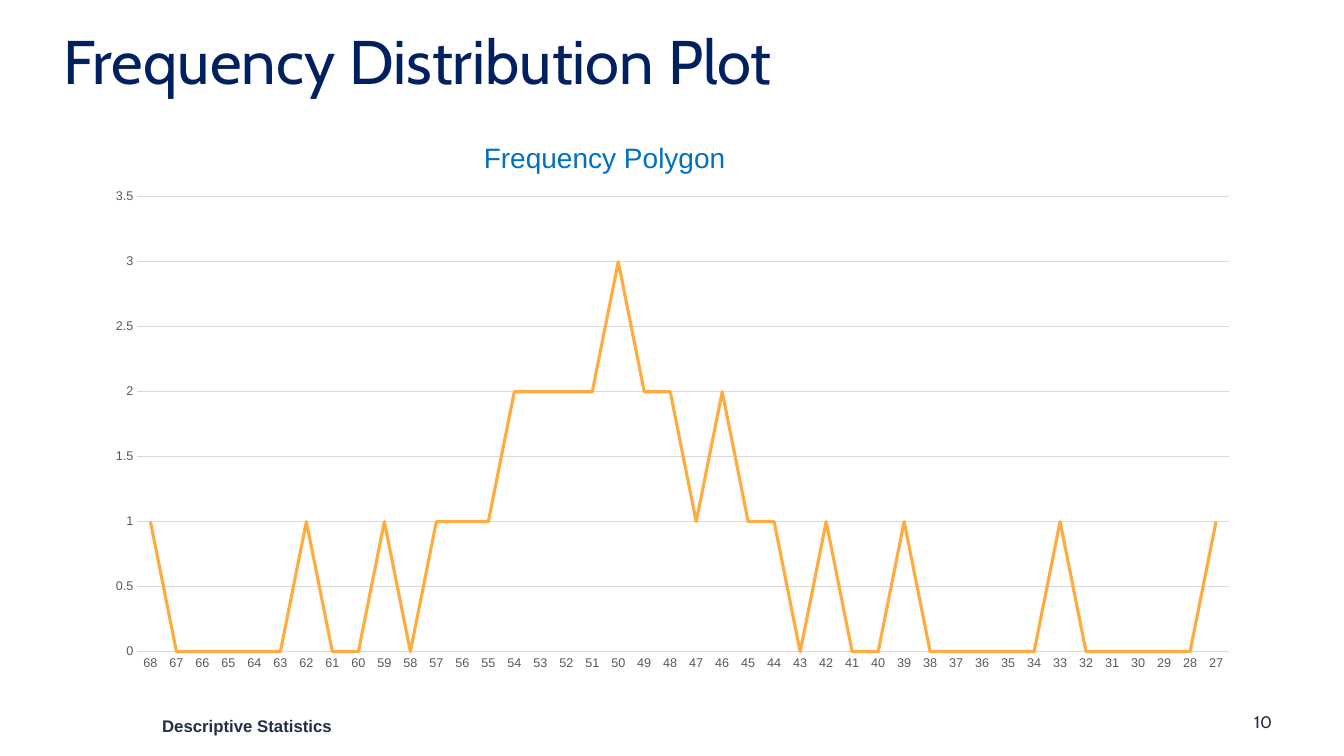
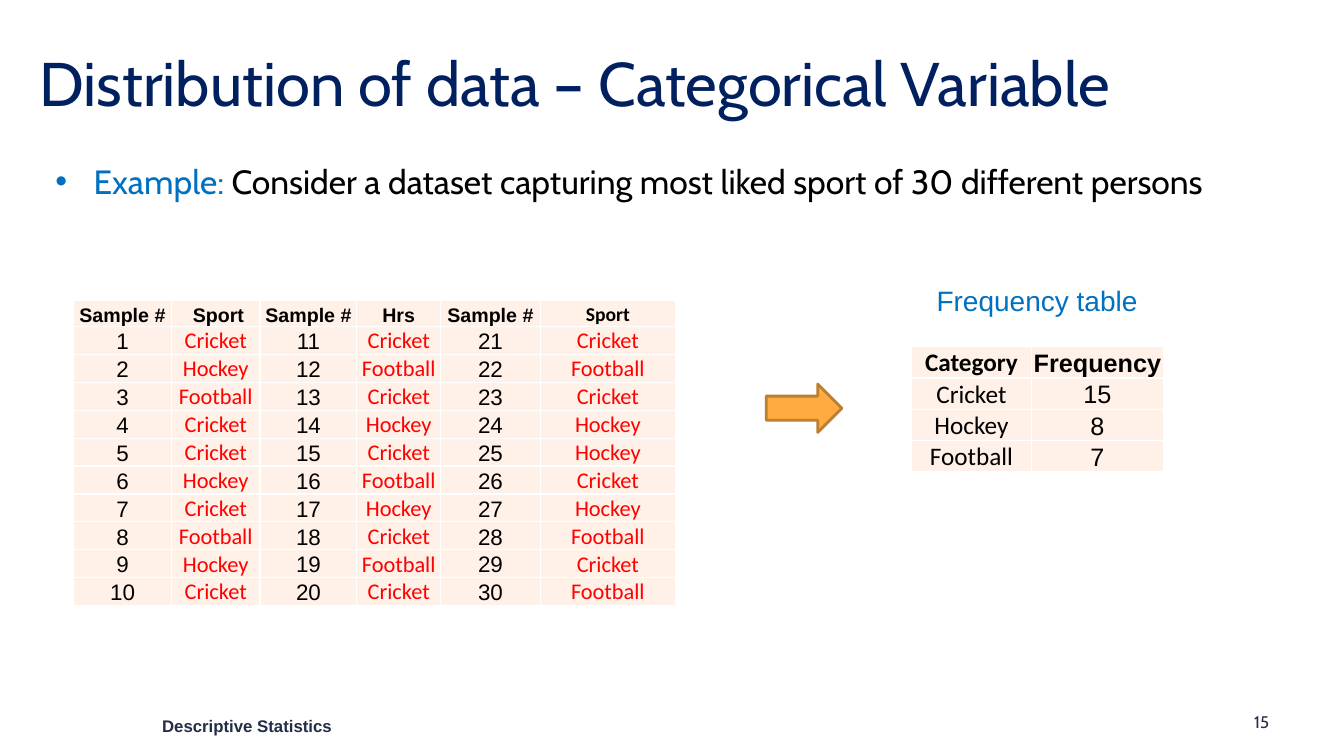
from dataclasses import dataclass

from lxml import etree
from pptx import Presentation
from pptx import util as u
from pptx.chart.data import CategoryChartData
from pptx.dml.color import RGBColor
from pptx.enum import chart as charts, shapes, text
from pptx.oxml import ns

SCORES = range(68, 26, -1)
FREQUENCIES = [1, 0, 0, 0, 0, 0, 1, 0, 0, 1, 0, 1, 1, 1, 2, 2, 2, 2, 3, 2, 2,
               1, 2, 1, 1, 0, 1, 0, 0, 1, 0, 0, 0, 0, 0, 1, 0, 0, 0, 0, 0, 1]

SAMPLE_HEADERS = ["Sample #", " Sport", "Sample #", "Hrs", "Sample #", "Sport"]
SPORTS = [
    ["Cricket", "Hockey", "Football", "Cricket", "Cricket",
     "Hockey", "Cricket", "Football", "Hockey", "Cricket"],
    ["Cricket", "Football", "Cricket", "Hockey", "Cricket",
     "Football", "Hockey", "Cricket", "Football", "Cricket"],
    ["Cricket", "Football", "Cricket", "Hockey", "Hockey",
     "Cricket", "Hockey", "Football", "Cricket", "Football"],
]
FREQUENCY_ROWS = [("Category", "Frequency"), ("Cricket", "15"),
                  ("Hockey", "8"), ("Football", "7")]


@dataclass(frozen=True)
class Theme:
    navy: str = "002060"
    footer: str = "232D47"
    blue: str = "0070C0"
    black: str = "000000"
    red: str = "FF0000"
    white: str = "FFFFFF"
    orange: str = "FFAB40"
    brown: str = "BD7F2F"
    cream: str = "FFF1E8"
    grid: str = "D9D9D9"
    axis: str = "595959"
    heading: str = "Cabin"
    sans: str = "Arial"
    label: str = "Calibri"
    title_size: int = 44
    body_size: int = 24
    caption_size: int = 20
    category_size: int = 18
    cell_size: int = 16
    header_size: int = 14
    footer_size: int = 12
    axis_size: int = 9


THEME = Theme()


def rgb(value):
    return RGBColor.from_string(value)


def style_font(font, face, size, color, bold=False):
    font.name, font.size, font.bold = face, u.Pt(size), bold
    font.color.rgb = rgb(color)


def write(para, content, face=THEME.sans, size=THEME.footer_size,
          color=THEME.black, bold=False, align=text.PP_ALIGN.LEFT):
    para.alignment = align
    span = para.add_run()
    span.text = content
    style_font(span.font, face, size, color, bold)


def add_box(page, left, top, width, height, wrap=True):
    """Add an empty text box and return its first paragraph."""
    box = page.shapes.add_textbox(*map(u.Inches, (left, top, width, height)))
    box.text_frame.word_wrap = wrap
    return box.text_frame.paragraphs[0]


def add_page(deck, title, left, top, number):
    """Add a title-only slide with the shared title style and footer."""
    page = deck.slides.add_slide(deck.slide_layouts[5])
    holder = page.shapes.title
    holder.left, holder.top = u.Inches(left), u.Inches(top)
    holder.width, holder.height = u.Inches(11.5), u.Inches(0.86)
    frame = holder.text_frame
    frame.word_wrap = True
    frame.auto_size = text.MSO_AUTO_SIZE.NONE
    frame.vertical_anchor = text.MSO_ANCHOR.MIDDLE
    para = frame.paragraphs[0]
    para.line_spacing = 0.9
    write(para, title, face=THEME.heading, size=THEME.title_size, color=THEME.navy)
    write(add_box(page, 1.51, 7.05, 2.19, 0.3), "Descriptive Statistics",
          color=THEME.footer, bold=True)
    write(add_box(page, 12.34, 7.01, 0.67, 0.3), str(number),
          face=THEME.heading, color=THEME.footer)
    return page


def add_caption(page, content, left, top, width):
    write(add_box(page, left, top, width, 0.44, wrap=False), content,
          size=THEME.caption_size, color=THEME.blue)


def add_polygon_chart(page):
    data = CategoryChartData()
    data.categories = [str(score) for score in SCORES]
    data.add_series("Series 1", FREQUENCIES)
    place = map(u.Inches, (0.92, 1.78, 11.5, 4.97))
    chart = page.shapes.add_chart(charts.XL_CHART_TYPE.LINE, *place, data).chart
    chart.has_legend = chart.has_title = False
    style_font(chart.font, THEME.sans, THEME.axis_size, THEME.axis)
    plot = chart.plots[0]
    plot.vary_by_categories = False
    series = plot.series[0]
    series.smooth = False
    series.format.line.color.rgb = rgb(THEME.orange)
    series.format.line.width = u.Pt(2.25)

    value_axis, category_axis = chart.value_axis, chart.category_axis
    for axis in (value_axis, category_axis):
        axis.major_tick_mark = axis.minor_tick_mark = charts.XL_TICK_MARK.NONE
        style_font(axis.tick_labels.font, THEME.sans, THEME.axis_size, THEME.axis)
    value_axis.minimum_scale, value_axis.maximum_scale = 0, 3.5
    value_axis.major_unit = 0.5
    value_axis.format.line.fill.background()
    for line in (value_axis.major_gridlines.format.line, category_axis.format.line):
        line.color.rgb = rgb(THEME.grid)
        line.width = u.Pt(0.75)


def add_borders(cell):
    props = cell._tc.get_or_add_tcPr()
    for side in ("lnL", "lnR", "lnT", "lnB"):
        line = etree.SubElement(props, ns.qn(f"a:{side}"), w=str(u.Pt(1)))
        fill = etree.SubElement(line, ns.qn("a:solidFill"))
        etree.SubElement(fill, ns.qn("a:srgbClr"), val=THEME.white)


def add_grid(page, rows, left, top, widths, row_height, cell_format):
    """Add a table; cell_format(row, column) gives the text format of a cell."""
    place = (left, top, sum(widths), row_height * len(rows))
    table = page.shapes.add_table(len(rows), len(widths), *map(u.Inches, place)).table
    table.first_row = table.horz_banding = False
    for column, width in zip(table.columns, widths):
        column.width = u.Inches(width)
    for row, values in enumerate(rows):
        table.rows[row].height = u.Inches(row_height)
        for column, value in enumerate(values):
            cell = table.cell(row, column)
            cell.margin_left = cell.margin_right = cell.margin_top = u.Inches(0.01)
            cell.margin_bottom = 0
            cell.vertical_anchor = text.MSO_ANCHOR.BOTTOM
            add_borders(cell)
            cell.fill.solid()
            cell.fill.fore_color.rgb = rgb(THEME.cream)
            write(cell.text_frame.paragraphs[0], value, bold=row == 0,
                  align=text.PP_ALIGN.CENTER, **cell_format(row, column))


def sample_rows():
    """Pair each sport with its sample number, ten samples to a column pair."""
    rows = [SAMPLE_HEADERS]
    for index, group in enumerate(zip(*SPORTS), start=1):
        rows.append([value for block, sport in enumerate(group)
                     for value in (str(index + block * len(SPORTS[0])), sport)])
    return rows


def sample_format(row, column):
    if row == 0:
        last = column == len(SAMPLE_HEADERS) - 1
        return dict(face=THEME.label if last else THEME.sans, size=THEME.header_size)
    if column % 2:
        return dict(face=THEME.label, size=THEME.cell_size, color=THEME.red)
    return dict(size=THEME.cell_size)


def frequency_format(row, column):
    return dict(face=THEME.sans if column else THEME.label, size=THEME.category_size)


def add_example(page):
    para = add_box(page, 0.45, 1.55, 12.21, 0.5)
    props = para._p.get_or_add_pPr()
    props.set("marL", str(u.Inches(0.38)))
    props.set("indent", str(-u.Inches(0.38)))
    etree.SubElement(props, ns.qn("a:buFont"), typeface=THEME.sans)
    etree.SubElement(props, ns.qn("a:buChar"), char="•")
    for content, color in (
            ("Example: ", THEME.blue),
            ("Consider a dataset capturing most liked sport of 30 different persons",
             THEME.black)):
        write(para, content, face=THEME.heading, size=THEME.body_size, color=color)


def add_arrow(page):
    arrow = page.shapes.add_shape(shapes.MSO_SHAPE.RIGHT_ARROW,
                                  *map(u.Inches, (7.6, 3.81, 0.75, 0.48)))
    arrow.shadow.inherit = False
    arrow.fill.solid()
    arrow.fill.fore_color.rgb = rgb(THEME.orange)
    arrow.line.color.rgb = rgb(THEME.brown)
    arrow.line.width = u.Pt(2)


def main():
    deck = Presentation()
    deck.slide_width, deck.slide_height = u.Inches(13.33), u.Inches(7.5)

    page = add_page(deck, "Frequency Distribution Plot", 0.53, 0.21, 10)
    add_caption(page, "Frequency Polygon", 4.7, 1.34, 2.7)
    add_polygon_chart(page)

    page = add_page(deck, "Distribution of data – Categorical Variable", 0.29, 0.43, 15)
    add_example(page)
    add_grid(page, sample_rows(), 0.73, 2.98,
             [0.97, 0.88, 0.96, 0.83, 0.99, 1.34], 0.26, sample_format)
    add_caption(page, "Frequency table", 9.19, 2.76, 2.21)
    add_grid(page, FREQUENCY_ROWS, 9.04, 3.44, [1.19, 1.31], 0.25, frequency_format)
    add_arrow(page)

    deck.save("out.pptx")


if __name__ == "__main__":
    main()
